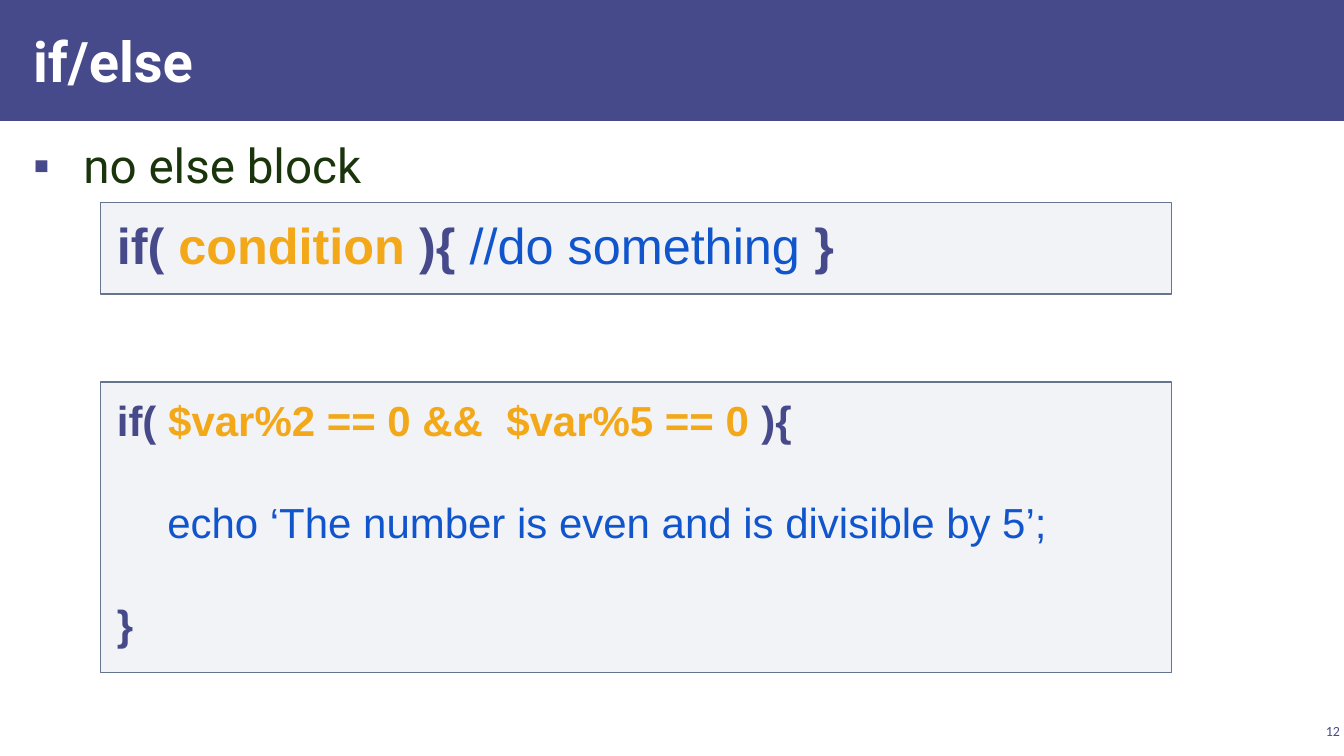
"""Build the if/else slide with its two code boxes."""
from lxml.etree import SubElement
from pptx import Presentation
from pptx.dml.color import RGBColor
from pptx.enum.shapes import MSO_SHAPE
from pptx.enum.text import MSO_ANCHOR, PP_ALIGN
from pptx.oxml.ns import qn
from pptx.util import Pt

INDIGO = RGBColor(0x47, 0x4A, 0x8A)
WHITE = RGBColor(0xFF, 0xFF, 0xFF)
DARK_GREEN = RGBColor(0x1A, 0x34, 0x0C)
AMBER = RGBColor(0xF2, 0xA8, 0x18)
BLUE = RGBColor(0x11, 0x55, 0xCC)
PANEL = RGBColor(0xAC, 0xB4, 0xC3)
PANEL_EDGE = RGBColor(0x67, 0x74, 0x8E)


class CodeSlide:
    def __init__(self, slide):
        self.slide = slide
        self.heading_font = "Roboto"
        self.code_font = "Arial"
        self.number_font = "Calibri"
        self.indent = Pt(36)

    def rectangle(self, left, top, width, height, color):
        panel = self.slide.shapes.add_shape(
            MSO_SHAPE.RECTANGLE, Pt(left), Pt(top), Pt(width), Pt(height))
        panel.shadow.inherit = False
        panel.fill.solid()
        panel.fill.fore_color.rgb = color
        panel.line.fill.background()
        return panel

    def set_frame(self, frame, side, end, anchor):
        frame.word_wrap = True
        frame.vertical_anchor = anchor
        frame.margin_left = frame.margin_right = Pt(side)
        frame.margin_top = frame.margin_bottom = Pt(end)

    def style(self, font, name, size, color, bold):
        font.name = name
        font.size = Pt(size)
        font.color.rgb = color
        font.bold = bold

    def label(self, text, left, top, width, height, name, size, color,
              bold=False, side=8.64, anchor=MSO_ANCHOR.MIDDLE):
        box = self.slide.shapes.add_textbox(
            Pt(left), Pt(top), Pt(width), Pt(height))
        self.set_frame(box.text_frame, side, 2.88, anchor)
        box.text_frame.text = text
        paragraph = box.text_frame.paragraphs[0]
        self.style(paragraph.runs[0].font, name, size, color, bold)
        return paragraph

    def bullet(self, paragraph):
        properties = paragraph._p.get_or_add_pPr()
        properties.set("marL", str(self.indent))
        properties.set("indent", str(-self.indent))
        tint = SubElement(properties, qn("a:buClr"))
        SubElement(tint, qn("a:srgbClr"), val=str(INDIGO))
        SubElement(properties, qn("a:buFont"), typeface="Arial")
        SubElement(properties, qn("a:buChar"), char="▪")

    def code(self, top, height, size, lines, gap=0):
        panel = self.rectangle(72, top, 765, height, PANEL)
        tint = panel.fill._xPr.find(qn("a:solidFill"))[0]
        SubElement(tint, qn("a:alpha"), val="15000")
        panel.line.color.rgb = PANEL_EDGE
        panel.line.width = Pt(1)
        frame = panel.text_frame
        self.set_frame(frame, 11.52, 8.64, MSO_ANCHOR.TOP)
        for number, (indented, pieces) in enumerate(lines):
            paragraph = frame.add_paragraph() if number else frame.paragraphs[0]
            paragraph.alignment = PP_ALIGN.LEFT
            if number:
                paragraph.space_before = Pt(gap)
            if indented:
                properties = paragraph._p.get_or_add_pPr()
                properties.set("marL", "0")
                properties.set("indent", str(self.indent))
            for text, color in pieces:
                run = paragraph.add_run()
                run.text = text
                self.style(run.font, self.code_font, size, color, color != BLUE)


def main():
    deck = Presentation()
    deck.slide_width, deck.slide_height = Pt(960), Pt(540)
    page = CodeSlide(deck.slides.add_slide(deck.slide_layouts[6]))

    page.rectangle(0, 0, 960, 86.4, INDIGO)
    topic = page.label("no else block", 15, 94.5, 930, 410, page.heading_font,
                       34, DARK_GREEN, anchor=MSO_ANCHOR.TOP)
    page.bullet(topic)
    page.label("if/else", 15, 8, 749, 70, page.heading_font, 40, WHITE, bold=True)
    slide_number = page.label("12", 926, 514, 34, 16, page.number_font,
                              10, INDIGO, side=2.88)
    slide_number.alignment = PP_ALIGN.RIGHT

    page.code(144.5, 65.5, 36, [
        (False, [("if( ", INDIGO), ("condition ", AMBER), ("){ ", INDIGO),
                 ("//do something ", BLUE), ("}", INDIGO)]),
    ])
    page.code(273, 207.5, 30, [
        (False, [("if( ", INDIGO), ("$var%2 == 0 &&  $var%5 == 0 ", AMBER),
                 ("){", INDIGO)]),
        (True, [("echo ‘The number is even and is divisible by 5’;", BLUE)]),
        (False, [("}", INDIGO)]),
    ], gap=37)

    deck.save("out.pptx")


if __name__ == "__main__":
    main()
